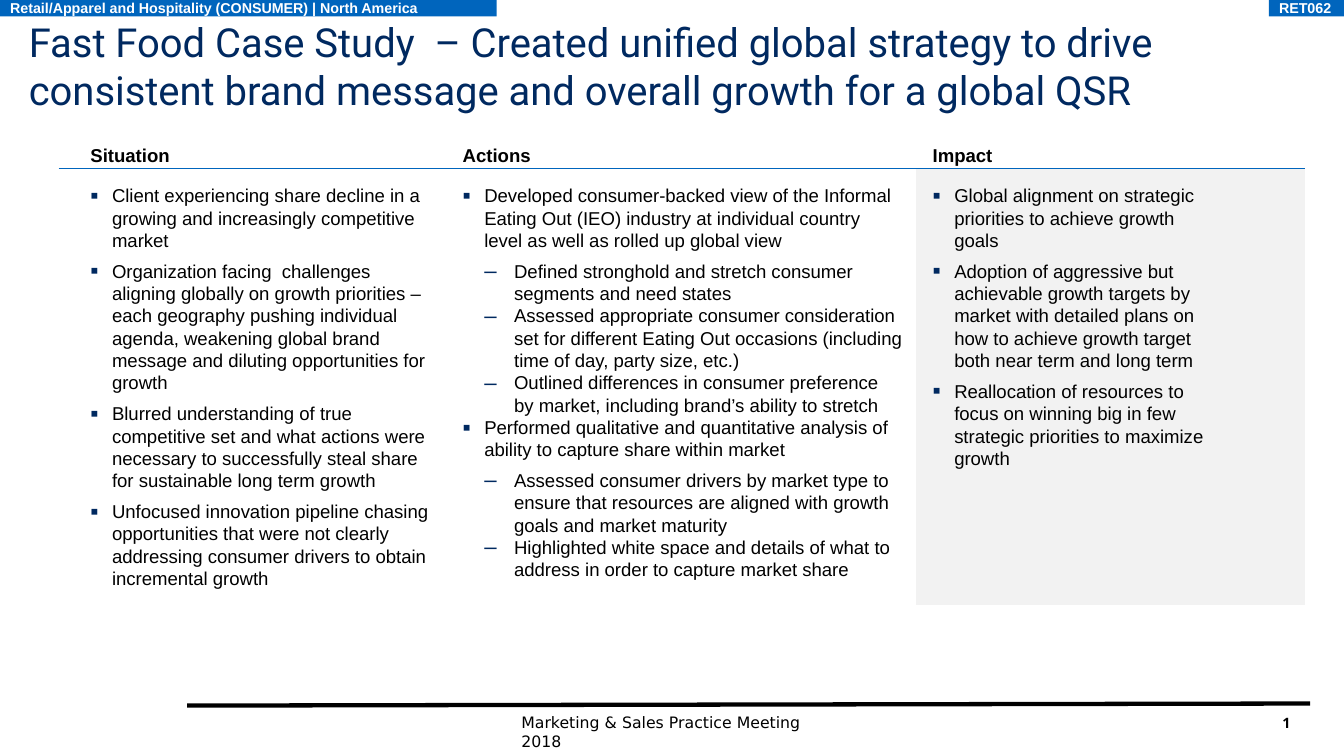
"""Build the fast food case study slide with situation, actions and impact columns."""
from lxml import etree
from pptx import Presentation
from pptx import util as u
from pptx.dml.color import RGBColor
from pptx.enum import shapes, text
from pptx.oxml.ns import qn

WIDTH, HEIGHT = 13.07, 7.35
NAVY, BLUE, GREY, BLACK, WHITE = "002960", "0065BD", "F2F2F2", "000000", "FFFFFF"

TITLE = ("Fast Food Case Study  – Created unified global strategy to drive "
         "consistent brand message and overall growth for a global QSR")
TAGS = [
    ("Retail/Apparel and Hospitality (CONSUMER) | North America", 0, 4.83),
    ("RET062", 12.34, 0.73),
]
FOOTER, PAGE = "Marketing & Sales Practice Meeting 2018", "1"
COLUMNS = [
    ("Situation", 0.88, 3.3, [
        (1, "Client experiencing share decline in a growing and increasingly competitive market"),
        (1, "Organization facing  challenges aligning globally on growth priorities – each "
            "geography pushing individual agenda, weakening global brand message and "
            "diluting opportunities for growth"),
        (1, "Blurred understanding of true competitive set and what actions were necessary "
            "to successfully steal share for sustainable long term growth"),
        (1, "Unfocused innovation pipeline chasing opportunities that were not clearly "
            "addressing consumer drivers to obtain incremental growth"),
    ]),
    ("Actions", 4.5, 4.27, [
        (1, "Developed consumer-backed view of the Informal Eating Out (IEO) industry at "
            "individual country level as well as rolled up global view"),
        (2, "Defined stronghold and stretch consumer segments and need states"),
        (2, "Assessed appropriate consumer consideration set for different Eating Out "
            "occasions (including time of day, party size, etc.)"),
        (2, "Outlined differences in consumer preference by market, including brand’s "
            "ability to stretch"),
        (1, "Performed qualitative and quantitative analysis of ability to capture share "
            "within market"),
        (2, "Assessed consumer drivers by market type to ensure that resources are aligned "
            "with growth goals and market maturity"),
        (2, "Highlighted white space and details of what to address in order to capture "
            "market share"),
    ]),
    ("Impact", 9.07, 2.68, [
        (1, "Global alignment on strategic priorities to achieve growth goals"),
        (1, "Adoption of aggressive but achievable growth targets by market with detailed "
            "plans on how to achieve growth target both near term and long term"),
        (1, "Reallocation of resources to focus on winning big in few strategic priorities "
            "to maximize growth"),
    ]),
]
BULLETS = {1: ("▪", 125, 0.21, 0.21, 6), 2: ("–", 120, 0.5, 0.29, 0)}
HEAD_TOP, RULE_TOP, BODY_TOP, BODY_BOTTOM = 1.4, 1.64, 1.79, 5.88


def rgb(colour):
    return RGBColor.from_string(colour)


def inches(*lengths):
    return [u.Inches(length) for length in lengths]


def write(frame, lines, size, font, colour=BLACK, bold=False, wrap=True,
          anchor=text.MSO_ANCHOR.TOP, insets=(0, 0, 0, 0)):
    frame.text = "\n".join(lines)
    frame.word_wrap, frame.vertical_anchor = wrap, anchor
    frame.auto_size = text.MSO_AUTO_SIZE.NONE
    (frame.margin_left, frame.margin_top,
     frame.margin_right, frame.margin_bottom) = inches(*insets)
    for paragraph in frame.paragraphs:
        paragraph.alignment = text.PP_ALIGN.LEFT
        for run in paragraph.runs:
            run.font.size, run.font.name, run.font.bold = u.Pt(size), font, bold
            run.font.color.rgb = rgb(colour)


def add_text(box, lines, *style, **options):
    frame = slide.shapes.add_textbox(*inches(*box)).text_frame
    write(frame, lines, *style, **options)
    return frame


def add_panel(box, colour):
    panel = slide.shapes.add_shape(shapes.MSO_SHAPE.RECTANGLE, *inches(*box))
    panel.shadow.inherit = False
    panel.fill.solid()
    panel.fill.fore_color.rgb = rgb(colour)
    panel.line.fill.background()
    return panel


def add_rule(ends, colour, weight):
    rule = slide.shapes.add_connector(shapes.MSO_CONNECTOR.STRAIGHT, *inches(*ends))
    rule.line.color.rgb, rule.line.width = rgb(colour), u.Pt(weight)
    etree.SubElement(rule._element.spPr, qn("a:effectLst"))


def add_bullet(paragraph, level):
    mark, percent, margin, hang, after = BULLETS[level]
    paragraph.level, paragraph.space_after = level, u.Pt(after)
    properties = paragraph._p.get_or_add_pPr()
    properties.set("marL", str(u.Inches(margin)))
    properties.set("indent", str(-u.Inches(hang)))
    tint = etree.SubElement(properties, qn("a:buClr"))
    etree.SubElement(tint, qn("a:srgbClr"), val=NAVY)
    etree.SubElement(properties, qn("a:buSzPct"), val=str(percent * 1000))
    etree.SubElement(properties, qn("a:buFont"), typeface="Arial")
    etree.SubElement(properties, qn("a:buChar"), char=mark)


deck = Presentation()
deck.slide_width, deck.slide_height = inches(WIDTH, HEIGHT)
slide = deck.slides.add_slide(deck.slide_layouts[5])

title = slide.shapes.title
title.left, title.top, title.width, title.height = inches(0.28, 0.17, 12.13, 0.94)
write(title.text_frame, [TITLE], 28, "Roboto", NAVY)

add_text((12.47, 6.94, 0.27, 0.17), [PAGE], 10, "Open Sans", bold=True, wrap=False,
         anchor=text.MSO_ANCHOR.MIDDLE)
add_text((5.07, 6.93, 2.94, 0.19), [FOOTER], 11, "DejaVu Sans")
add_rule((1.82, 6.86, 12.74, 6.84), BLACK, 3)

add_panel((8.91, RULE_TOP, 3.78, BODY_BOTTOM - RULE_TOP), GREY)
add_rule((0.57, RULE_TOP, 12.69, RULE_TOP), BLUE, 0.75)

for heading, left, width, points in COLUMNS:
    add_text((left, HEAD_TOP, width, RULE_TOP - HEAD_TOP), [heading], 13, "Arial",
             bold=True, anchor=text.MSO_ANCHOR.BOTTOM, insets=(0, 0, 0, 0.02))
    body = add_text((left, BODY_TOP, width, BODY_BOTTOM - BODY_TOP),
                    [point for _, point in points], 13, "Arial")
    for paragraph, (level, _) in zip(body.paragraphs, points):
        add_bullet(paragraph, level)

for tag, left, width in TAGS:
    write(add_panel((left, 0, width, 0.16), BLUE).text_frame, [tag], 10, "Arial", WHITE,
          bold=True, wrap=False, anchor=text.MSO_ANCHOR.MIDDLE, insets=(0.1, 0.05, 0.1, 0.05))

deck.save("out.pptx")
